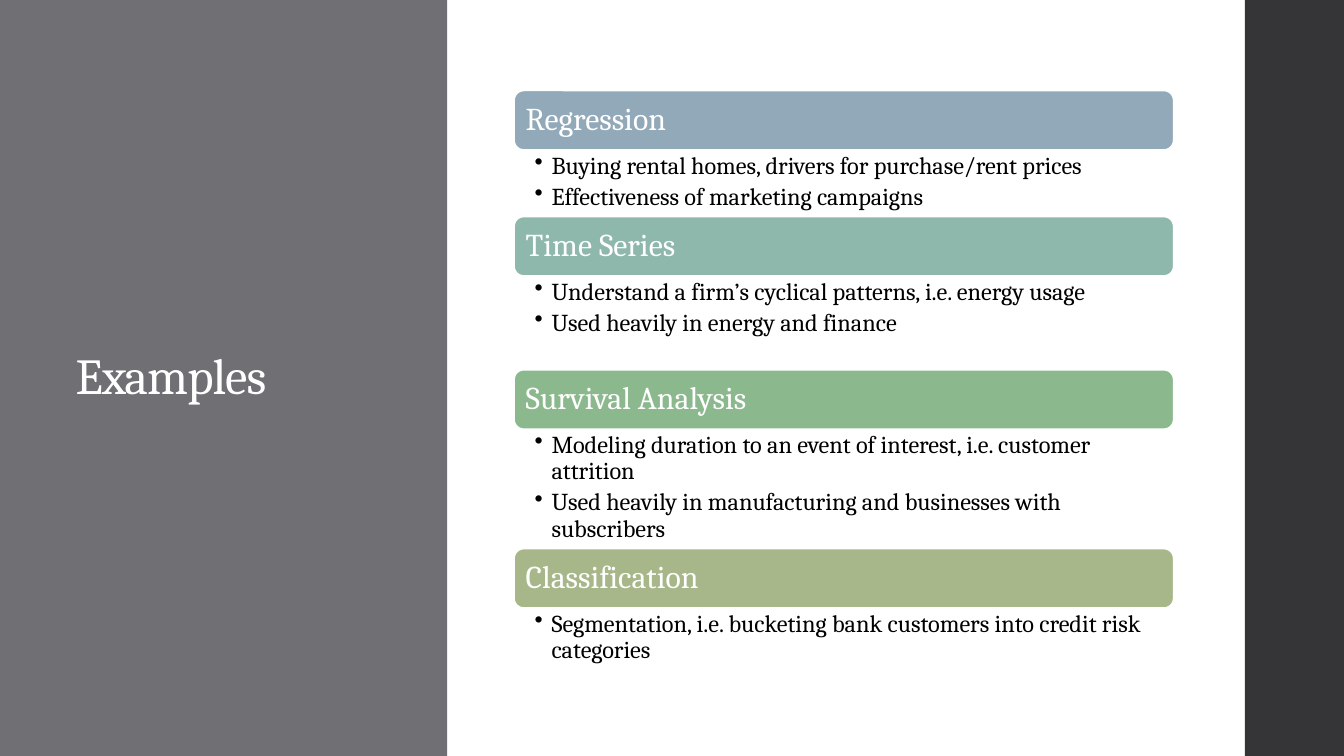
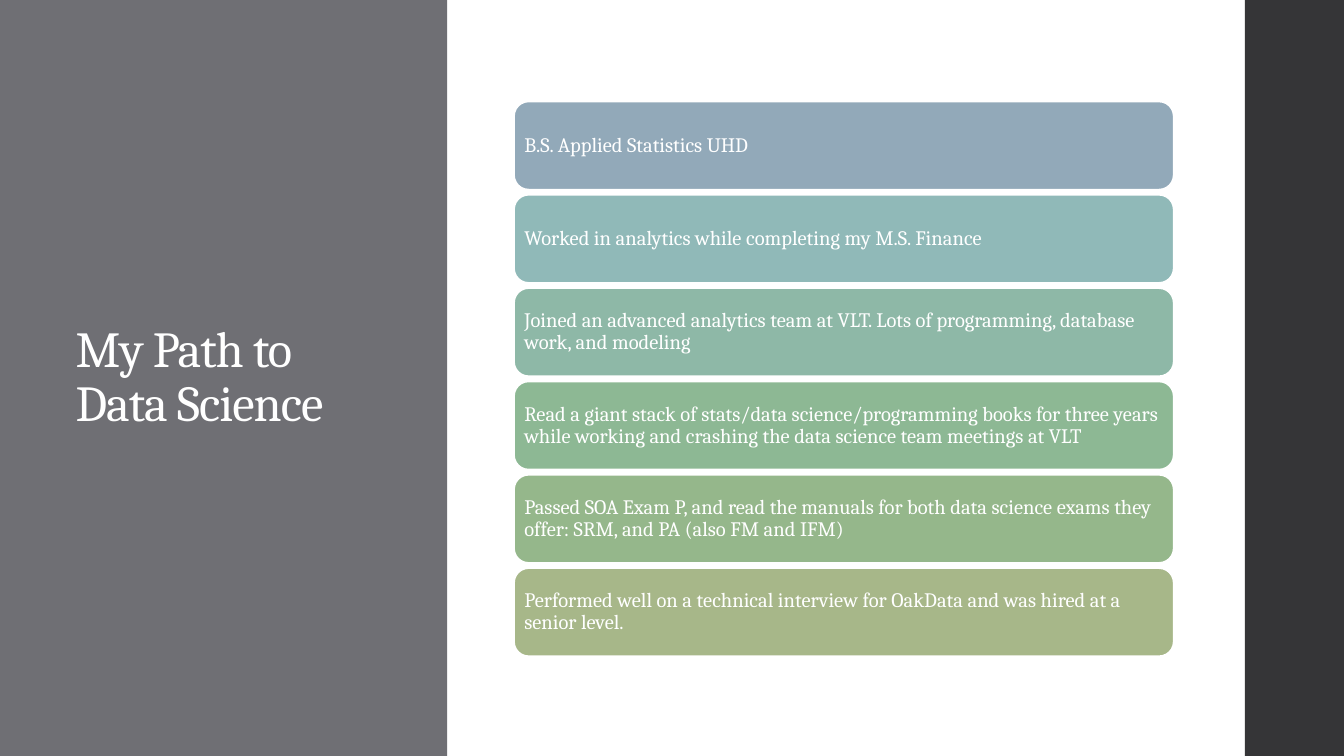
from dataclasses import dataclass

from lxml.etree import SubElement
from pptx import Presentation
from pptx.dml.color import RGBColor
from pptx.enum.shapes import MSO_SHAPE as Shape
from pptx.enum.text import MSO_ANCHOR as Anchor, PP_ALIGN as Align
from pptx.oxml.ns import qn
from pptx.util import Pt


@dataclass(frozen=True)
class Theme:
    font: str = "Cambria"
    white: str = "FFFFFF"
    black: str = "000000"
    title_band: str = "6F6F74"
    edge_band: str = "353537"
    title_size: float = 27
    heading_size: float = 17
    bullet_size: float = 13
    step_size: float = 11
    outline: float = 1.1
    line_spacing: float = 0.9


class Deck:
    width, height = 720, 405
    column_left, column_width = 275.3, 353.6

    def __init__(self, theme):
        self.theme = theme
        self.prs = Presentation()
        self.prs.slide_width = Pt(self.width)
        self.prs.slide_height = Pt(self.height)
        self.slide = None

    def new_slide(self, title):
        self.slide = self.prs.slides.add_slide(self.prs.slide_layouts[6])
        self.band(0, 239.6, self.theme.title_band)
        self.band(667, self.width - 667, self.theme.edge_band)
        self.title(title)

    def shape(self, kind, box, color):
        shape = self.slide.shapes.add_shape(kind, *map(Pt, box))
        shape.shadow.inherit = False
        shape.fill.solid()
        shape.fill.fore_color.rgb = RGBColor.from_string(color)
        return shape

    def band(self, left, width, color):
        band = self.shape(Shape.RECTANGLE, (left, 0, width, self.height), color)
        band.line.fill.background()

    def set_text(self, frame, text, size, color, insets, anchor=Anchor.MIDDLE):
        frame.word_wrap = True
        frame.vertical_anchor = anchor
        (frame.margin_left, frame.margin_top,
         frame.margin_right, frame.margin_bottom) = map(Pt, insets)
        frame.text = text
        for paragraph in frame.paragraphs:
            paragraph.alignment = Align.LEFT
            paragraph.line_spacing = self.theme.line_spacing
            for run in paragraph.runs:
                run.font.name = self.theme.font
                run.font.size = Pt(size)
                run.font.color.rgb = RGBColor.from_string(color)

    def text_box(self, box):
        return self.slide.shapes.add_textbox(*map(Pt, box)).text_frame

    def title(self, text):
        frame = self.text_box((33.4, 49.5, 160.6, 306))
        self.set_text(frame, text, self.theme.title_size, self.theme.white,
                      (7.2, 3.6, 7.2, 3.6))
        for run in frame.paragraphs[0].runs:
            run._r.get_or_add_rPr().set("spc", "-50")

    def bar(self, text, top, height, color, size, inset):
        bar = self.shape(Shape.ROUNDED_RECTANGLE,
                         (self.column_left, top, self.column_width, height), color)
        bar.line.color.rgb = RGBColor.from_string(self.theme.white)
        bar.line.width = Pt(self.theme.outline)
        self.set_text(bar.text_frame, text, size, self.theme.white, (inset,) * 4)

    def bullets(self, items, top, height):
        frame = self.text_box((self.column_left, top, self.column_width, height))
        self.set_text(frame, "\n".join(items), self.theme.bullet_size,
                      self.theme.black, (11.2, 1.6, 9.2, 1.6), Anchor.TOP)
        for paragraph in frame.paragraphs:
            paragraph.space_after = Pt(0.2 * self.theme.bullet_size)
            properties = paragraph._p.get_or_add_pPr()
            properties.set("marL", str(Pt(9)))
            properties.set("indent", str(Pt(-9)))
            SubElement(properties, qn("a:buChar")).set("char", "•")


METHODS = [
    ("Regression", "92A9B9", 35.4, [
        "Buying rental homes, drivers for purchase/rent prices",
        "Effectiveness of marketing campaigns"]),
    ("Time Series", "8FB8AD", 50, [
        "Understand a firm’s cyclical patterns, i.e. energy usage",
        "Used heavily in energy and finance"]),
    ("Survival Analysis", "8CB88E", 63.7, [
        "Modeling duration to an event of interest, i.e. customer attrition",
        "Used heavily in manufacturing and businesses with subscribers"]),
    ("Classification", "A7B789", 31.8, [
        "Segmentation, i.e. bucketing bank customers into credit risk categories"]),
]

CAREER_STEPS = [
    ("B.S. Applied Statistics UHD", "92A9B9"),
    ("Worked in analytics while completing my M.S. Finance", "90B9B8"),
    ("Joined an advanced analytics team at VLT. Lots of programming, "
     "database work, and modeling", "8EB8A7"),
    ("Read a giant stack of stats/data science/programming books for three years "
     "while working and crashing the data science team meetings at VLT", "8DB894"),
    ("Passed SOA Exam P, and read the manuals for both data science exams they "
     "offer: SRM, and PA (also FM and IFM)", "95B78B"),
    ("Performed well on a technical interview for OakData and was hired at a "
     "senior level.", "A7B789"),
]


def examples(deck):
    deck.new_slide("Examples")
    top, heading_height = 48.4, 32.1
    for method, color, list_height, uses in METHODS:
        deck.bar(method, top, heading_height, color, deck.theme.heading_size, 4.8)
        top += heading_height
        deck.bullets(uses, top, list_height)
        top += list_height


def career_path(deck):
    deck.new_slide("My Path to Data Science")
    first_top, pitch, step_height = 54.3, 50, 47.4
    for position, (step, color) in enumerate(CAREER_STEPS):
        deck.bar(step, first_top + position * pitch, step_height, color,
                 deck.theme.step_size, 3.3)


def main():
    deck = Deck(Theme())
    examples(deck)
    career_path(deck)
    deck.prs.save("out.pptx")


if __name__ == "__main__":
    main()
